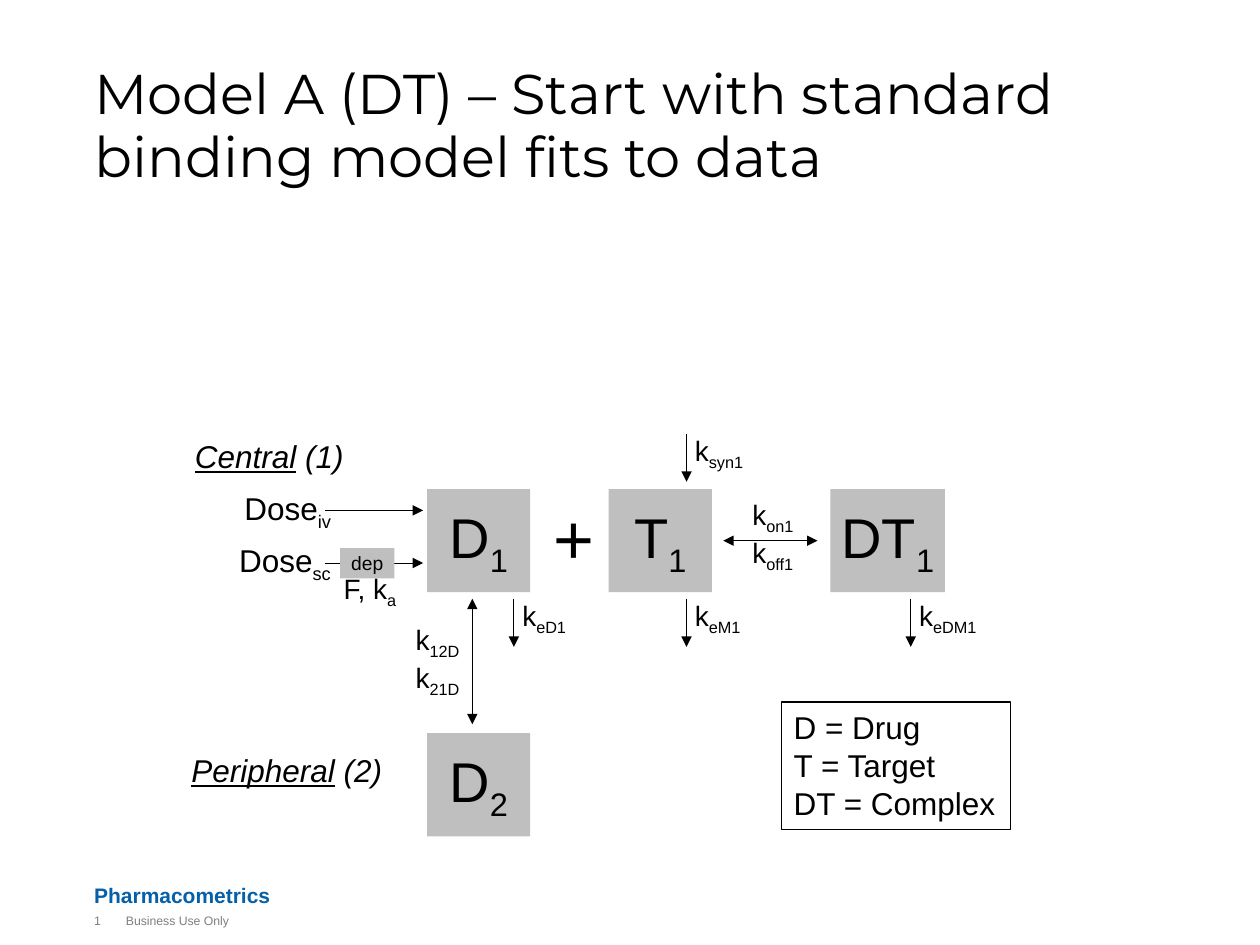
from typing import NamedTuple

from lxml.etree import SubElement
from pptx import Presentation
from pptx.dml.color import RGBColor
from pptx.enum.shapes import MSO_CONNECTOR, MSO_SHAPE
from pptx.enum.text import MSO_ANCHOR as Anchor, MSO_AUTO_SIZE as AutoSize, PP_ALIGN as Align
from pptx.oxml.ns import qn
from pptx.util import Cm, Pt

BLACK, GREY, FOOTER_GREY, BLUE, WHITE = "000000", "BFBFBF", "7F7F7F", "0460A9", "FFFFFF"
SIDE = 2.08                        # side of a compartment
ROW_TOP, BELOW_ROW = 9.86, 12.07   # central row, start of the arrows under it


class Box(NamedTuple):
    x: float
    y: float
    w: float
    h: float


class Label(NamedTuple):
    text: str
    box: Box
    size: float = 16
    align: Align = Align.LEFT
    wrap: bool = True


class Compartment(NamedTuple):
    text: str
    box: Box
    size: float = 32


class Arrow(NamedTuple):
    x1: float
    y1: float
    x2: float
    y2: float
    both_ends: bool = False


class Rate(NamedTuple):
    """A short downward arrow with its rate constant to the right."""
    text: str
    x: float
    y: float


def color(value: str) -> RGBColor:
    return RGBColor.from_string(value)


def write(sp, text: str, size: float, rgb: str = BLACK, align: Align = Align.LEFT,
          font: str = "Arial", inset: bool = False, wrap: bool = True):
    """Fill a shape with lines of text; what follows "_" in a line is subscript."""
    tf = sp.text_frame
    tf.word_wrap = wrap
    if not inset:
        tf.margin_left = tf.margin_top = tf.margin_right = tf.margin_bottom = 0
    tf.text = text
    for p in tf.paragraphs:
        p.alignment = align
        base, _, sub = p.text.partition("_")
        p.runs[0].text = base
        if sub:
            r = p.add_run()
            r.text = sub
            r._r.get_or_add_rPr().set("baseline", "-25000")
        for r in p.runs:
            r.font.name, r.font.size = font, Pt(size)
            r.font.color.rgb = color(rgb)
    return tf


def add_textbox(s, box: Box):
    return s.shapes.add_textbox(*map(Cm, box))


def add_rect(s, box: Box, fill: str):
    sp = s.shapes.add_shape(MSO_SHAPE.RECTANGLE, *map(Cm, box))
    sp.shadow.inherit = False
    sp.fill.solid()
    sp.fill.fore_color.rgb = color(fill)
    sp.line.fill.background()
    return sp


def add_compartment(s, item: Compartment) -> None:
    tf = write(add_rect(s, item.box, GREY), item.text, item.size, align=Align.CENTER)
    tf.vertical_anchor = Anchor.MIDDLE


def add_label(s, item: Label) -> None:
    tf = write(add_textbox(s, item.box), item.text, item.size,
               align=item.align, wrap=item.wrap)
    tf.auto_size = AutoSize.SHAPE_TO_FIT_TEXT


def add_arrow(s, a: Arrow) -> None:
    line = s.shapes.add_connector(MSO_CONNECTOR.STRAIGHT, *map(Cm, a[:4]))
    line.line.color.rgb = color(BLACK)
    line.line.width = Pt(0.5)
    ln = line.line._get_or_add_ln()
    if a.both_ends:
        SubElement(ln, qn("a:headEnd"), type="triangle")
    SubElement(ln, qn("a:tailEnd"), type="triangle")
    SubElement(line._element.spPr, qn("a:effectLst"))


def add_rate(s, rate: Rate) -> None:
    add_arrow(s, Arrow(rate.x, rate.y, rate.x, rate.y + 0.97))
    add_label(s, Label(rate.text, Box(rate.x + 0.17, rate.y, 1.83, 0.69)))


def add_heading(s, name: str, number: str, box: Box) -> None:
    tf = write(add_textbox(s, box), name, 18, inset=True)
    p = tf.paragraphs[0]
    r = p.add_run()
    r.text = f" ({number})"
    for r in p.runs:
        r.font.name, r.font.size, r.font.italic = "Arial", Pt(18), True
        r.font.color.rgb = color(BLACK)
    p.runs[0].font.underline = True


COMPARTMENTS = [
    Compartment("D_1", Box(8.61, ROW_TOP, SIDE, SIDE)),
    Compartment("T_1", Box(12.27, ROW_TOP, SIDE, SIDE)),
    Compartment("DT_1", Box(16.74, ROW_TOP, 2.31, SIDE)),
    Compartment("D_2", Box(8.61, 14.78, SIDE, SIDE)),
    Compartment("dep", Box(6.86, 11.05, 1.09, 0.61), 11),
]
ARROWS = [
    Arrow(6.55, 10.29, 8.53, 10.29),
    Arrow(6.55, 11.35, 8.53, 11.35),
    Arrow(14.58, 10.9, 16.48, 10.9, True),
    Arrow(9.52, 14.6, 9.52, BELOW_ROW, True),
]
RATES = [
    Rate("k_syn1", 13.84, 8.74),
    Rate("k_eD1", 10.36, BELOW_ROW),
    Rate("k_eM1", 13.84, BELOW_ROW),
    Rate("k_eDM1", 18.36, BELOW_ROW),
]
LABELS = [
    Label("+", Box(11.15, 9.96, 0.89, 1.7), 40),
    Label("k_on1\nk_off1", Box(14.73, 10.03, 1.7, 1.37), align=Align.CENTER),
    Label("k_12D\nk_21D", Box(8.38, 12.55, 1.12, 1.37)),
    Label("F, k_a", Box(6.93, 11.53, 1.83, 0.69)),
    Label("Dose_iv", Box(4.9, 9.86, 1.8, 0.76), 18, Align.CENTER, False),
    Label("Dose_sc", Box(4.78, 10.9, 1.93, 0.76), 18, Align.CENTER, False),
]


def main() -> None:
    prs = Presentation()
    prs.slide_width, prs.slide_height = Cm(25.4), Cm(19.05)
    s = prs.slides.add_slide(prs.slide_layouts[6])

    tf = write(add_textbox(s, Box(1.9, 1.27, 21.6, 2.67)),
               "Model A (DT) – Start with standard binding model fits to data",
               32, font="Montserrat")
    tf.paragraphs[0].line_spacing = 0.95

    tf = write(add_textbox(s, Box(1.9, 17.65, 16.5, 0.64)), "Pharmacometrics", 12, BLUE)
    tf.vertical_anchor = Anchor.BOTTOM
    tf.paragraphs[0].runs[0].font.bold = True
    write(add_textbox(s, Box(1.9, 18.42, 0.64, 0.64)), "1", 7, FOOTER_GREY)
    write(add_textbox(s, Box(2.54, 18.42, 15.88, 0.64)), "Business Use Only", 7, FOOTER_GREY)

    for arrow in ARROWS:
        add_arrow(s, arrow)
    for compartment in COMPARTMENTS:
        add_compartment(s, compartment)
    for rate in RATES:
        add_rate(s, rate)
    for label in LABELS:
        add_label(s, label)
    add_heading(s, "Central", "1", Box(3.68, 8.69, 4.85, 1.02))
    add_heading(s, "Peripheral", "2", Box(3.61, 15.01, 5.72, 1.02))

    legend = add_rect(s, Box(15.75, 14.15, 4.62, 2.57), WHITE)
    legend.line.color.rgb = color(BLACK)
    legend.line.width = Pt(0.75)
    tf = write(legend, "D = Drug\nT = Target\nDT = Complex", 18, inset=True, wrap=False)
    tf.vertical_anchor = Anchor.TOP

    prs.save("out.pptx")


if __name__ == "__main__":
    main()
